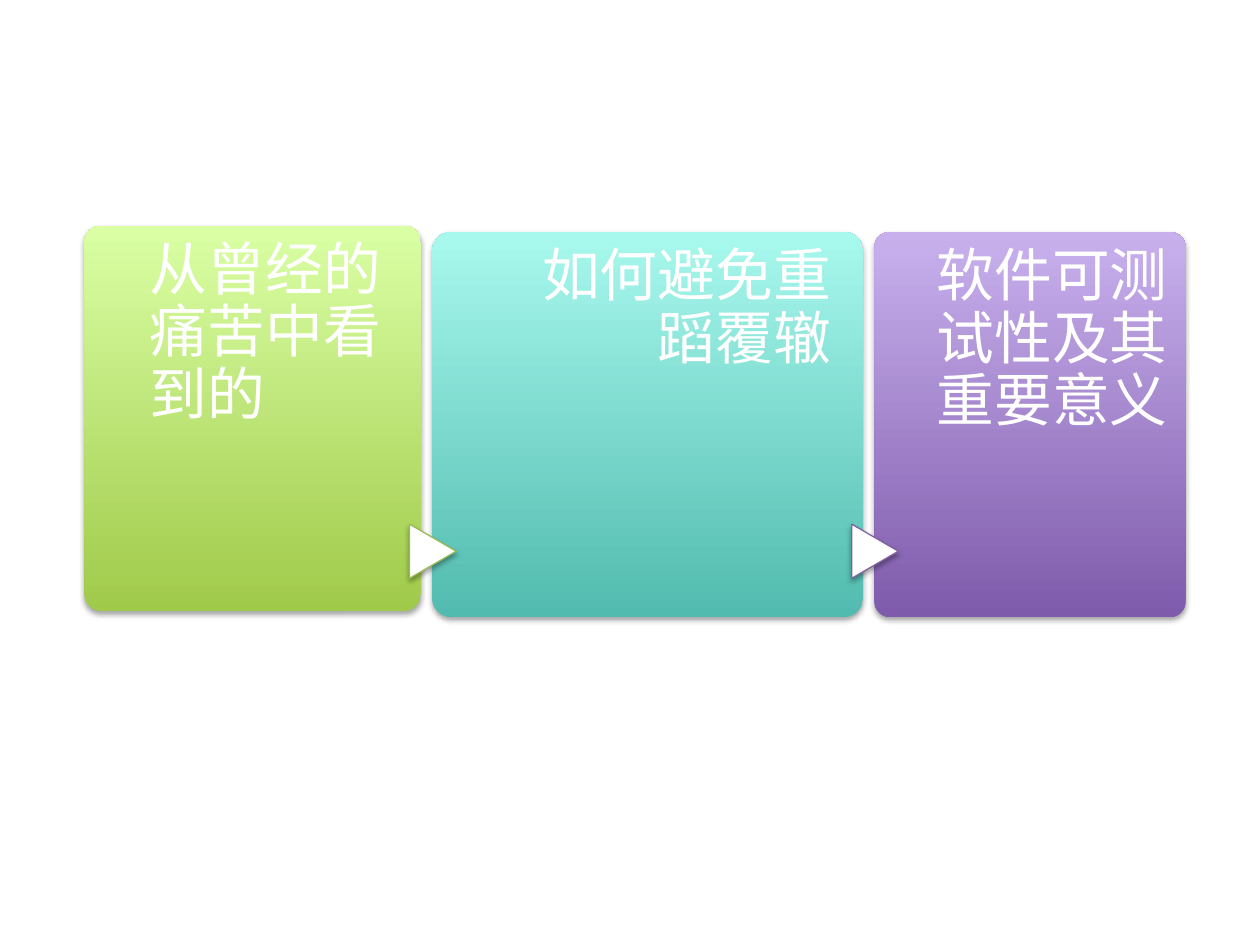
import dataclasses

import lxml.etree
import pptx
import pptx.dml.color
import pptx.enum.shapes
import pptx.enum.text
import pptx.oxml.ns
import pptx.util

Inches = pptx.util.Inches
Pt = pptx.util.Pt
RGB = pptx.dml.color.RGBColor.from_string
Shapes = pptx.enum.shapes.MSO_SHAPE
Align = pptx.enum.text.PP_ALIGN


@dataclasses.dataclass(frozen=True)
class Theme:
    """Colours and type of the slide."""
    font: str = "Noto Sans CJK SC"
    size: float = 33
    white: str = "FFFFFF"
    shadow: str = "000000"


@dataclasses.dataclass(frozen=True)
class Box:
    """A rectangle in inches."""
    left: float
    top: float
    width: float
    height: float

    def emu(self):
        """Return the four lengths as slide units."""
        return [Inches(value) for value in dataclasses.astuple(self)]


@dataclasses.dataclass(frozen=True)
class Step:
    """One panel of the sequence, with its share of the text offset."""
    text: str
    top: float
    width: float
    dark: str
    light: str
    text_offset: float
    alignment: Align = Align.LEFT
    arrow_line: str = ""


THEME = Theme()
GAP = 0.09
STEPS = [
    Step("从曾经的痛苦中看到的", 1.79, 2.67, "A0CA4A", "DAFFA5", 0.195),
    Step("如何避免重蹈覆辙", 1.84, 3.42, "52BBAF", "A8F8ED", 0.18, Align.RIGHT, "9BBB59"),
    Step("软件可测试性及其重要意义", 1.84, 2.47, "7F5BAB", "C8B0ED", 0.2, Align.LEFT, "8064A2"),
]


def add_shadow(shape):
    """Give a shape a soft shadow falling straight down."""
    tag = pptx.oxml.ns.qn
    shape.shadow.inherit = False
    effects = shape.element.spPr.find(tag("a:effectLst"))
    shadow = lxml.etree.SubElement(
        effects, tag("a:outerShdw"), blurRad=str(Pt(3.1)), dist=str(Pt(1.8)),
        dir="5400000", rotWithShape="0")
    color = lxml.etree.SubElement(shadow, tag("a:srgbClr"), val=THEME.shadow)
    lxml.etree.SubElement(color, tag("a:alpha"), val="35000")


def add_panel(slide, box, step):
    """Draw the rounded gradient panel."""
    panel = slide.shapes.add_shape(Shapes.ROUNDED_RECTANGLE, *box.emu())
    panel.adjustments[0] = 0.05
    panel.fill.gradient()
    panel.fill.gradient_angle = 90
    for stop, color in zip(panel.fill.gradient_stops, (step.dark, step.light)):
        stop.color.rgb = RGB(color)
    panel.line.fill.background()
    add_shadow(panel)


def add_arrow(slide, box, color):
    """Draw the triangle that leads into a panel across its left side."""
    place = Box(box.left - 0.21, box.top + 0.768 * box.height, 0.43, 0.37)
    arrow = slide.shapes.add_shape(Shapes.FLOWCHART_EXTRACT, *place.emu())
    arrow.rotation = 90
    arrow.fill.solid()
    arrow.fill.fore_color.rgb = RGB(THEME.white)
    arrow.line.color.rgb = RGB(color)
    arrow.line.width = Pt(0.75)
    add_shadow(arrow)


def add_caption(slide, box, step):
    """Write the caption at the top of a panel."""
    place = Box(box.left + step.text_offset * box.width, box.top, 0.745 * box.width, box.height)
    frame = slide.shapes.add_textbox(*place.emu()).text_frame
    frame.word_wrap = True
    frame.margin_left = frame.margin_right = frame.margin_bottom = 0
    frame.margin_top = Inches(0.12)
    paragraph = frame.paragraphs[0]
    paragraph.text = step.text
    paragraph.alignment = step.alignment
    paragraph.line_spacing = 0.9
    paragraph.space_after = Pt(0.35 * THEME.size)
    font = paragraph.font
    font.size = Pt(THEME.size)
    font.color.rgb = RGB(THEME.white)
    font.name = THEME.font
    properties = paragraph._p.pPr.find(pptx.oxml.ns.qn("a:defRPr"))
    lxml.etree.SubElement(properties, pptx.oxml.ns.qn("a:ea"), typeface=THEME.font)


def add_step(slide, box, step):
    """Place a panel, its incoming arrow and its caption."""
    add_panel(slide, box, step)
    if step.arrow_line:
        add_arrow(slide, box, step.arrow_line)
    add_caption(slide, box, step)


def main():
    """Build the three-step slide."""
    presentation = pptx.Presentation()
    presentation.slide_width, presentation.slide_height = Inches(10), Inches(7.5)
    slide = presentation.slides.add_slide(presentation.slide_layouts[6])
    left = 0.67
    for step in STEPS:
        add_step(slide, Box(left, step.top, step.width, 3.06), step)
        left += step.width + GAP
    presentation.save("out.pptx")


if __name__ == "__main__":
    main()
